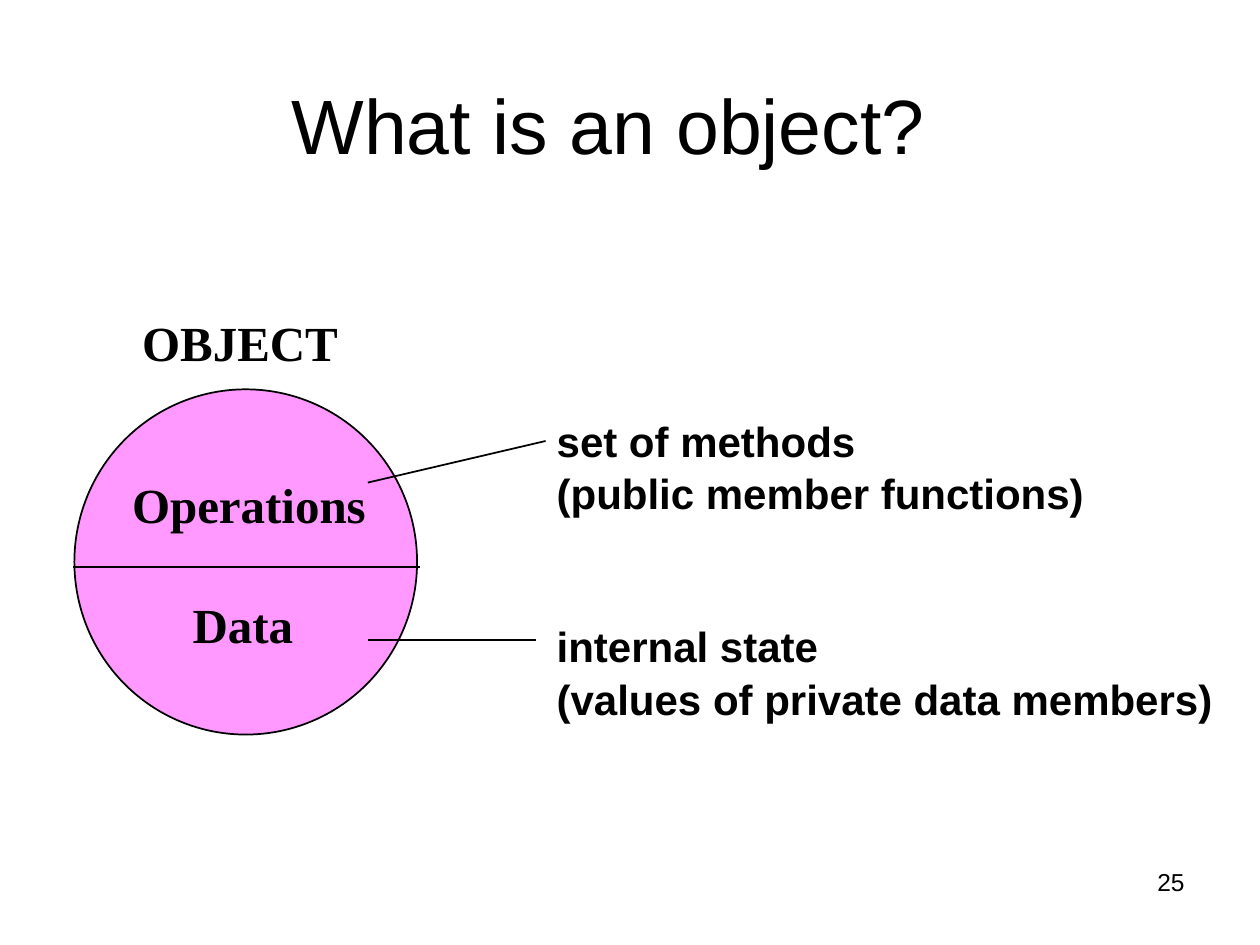
"""Build a slide that explains an object as operations plus data."""
from lxml.etree import SubElement
from pptx import Presentation
from pptx.dml.color import RGBColor
from pptx.enum.shapes import MSO_CONNECTOR, MSO_SHAPE
from pptx.enum.text import MSO_ANCHOR, PP_ALIGN
from pptx.oxml.ns import qn
from pptx.util import Inches, Pt


def color(value):
    return RGBColor.from_string(value)


def write(holder, lines, font="Arial", size=24, bold=False, align=PP_ALIGN.LEFT,
          anchor=MSO_ANCHOR.TOP, spacing=1.0, gaps=None, indents=None):
    frame = holder.text_frame
    frame.word_wrap = True
    frame.vertical_anchor = anchor
    frame.text = "\n".join(lines)
    for index, paragraph in enumerate(frame.paragraphs):
        paragraph.alignment = align
        paragraph.line_spacing = spacing
        paragraph.space_before = Pt((gaps or {}).get(index, 0))
        if indents and index in indents:
            paragraph._p.get_or_add_pPr().set("marL", str(Inches(indents[index])))
        run = paragraph.runs[0]
        run.font.name = font
        run.font.size = Pt(size)
        run.font.bold = bold
        run.font.color.rgb = color("000000")


deck = Presentation()
deck.slide_width, deck.slide_height = Inches(10), Inches(7.5)
slide = deck.slides.add_slide(deck.slide_layouts[5])
shapes = slide.shapes

heading = shapes.title
heading.left, heading.top = Inches(0.01), Inches(0.42)
heading.width, heading.height = Inches(9.64), Inches(0.98)
write(heading, ["What is an object?"], size=44, align=PP_ALIGN.CENTER,
      anchor=MSO_ANCHOR.BOTTOM)

circle = shapes.add_shape(MSO_SHAPE.OVAL, Inches(0.59), Inches(3.09),
                          Inches(2.72), Inches(2.74))
circle.shadow.inherit = False
circle.fill.solid()
circle.fill.fore_color.rgb = color("FF99FF")
circle.line.color.rgb = color("000000")
circle.line.width = Pt(1)

serif = {"font": "Times New Roman", "size": 28, "bold": True}
for box, lines, style in [
    ((7.17, 6.83, 2.33, 0.52), ["25"], {"size": 14, "align": PP_ALIGN.RIGHT}),
    ((1.03, 2.43, 1.9, 0.57), ["OBJECT"], serif),
    ((0.95, 3.72, 2.2, 1.5), ["Operations", "Data"],
     {**serif, "gaps": {1: 35}, "indents": {1: 0.48}}),
    ((4.32, 3.23, 5.6, 2.5),
     ["set of methods", "(public member functions)",
      "internal state", "(values of private data members)"],
     {"bold": True, "spacing": 1.04, "gaps": {2: 57.6}}),
]:
    label = shapes.add_textbox(*map(Inches, box))
    write(label, lines, **style)

for ends in [
    (2.92, 3.83, 4.33, 3.5),
    (2.92, 5.08, 4.25, 5.08),
    (0.58, 4.5, 3.33, 4.5),
]:
    rule = shapes.add_connector(MSO_CONNECTOR.STRAIGHT, *map(Inches, ends))
    rule.line.color.rgb = color("000000")
    rule.line.width = Pt(1)
    SubElement(rule._element.spPr, qn("a:effectLst"))

deck.save("out.pptx")
